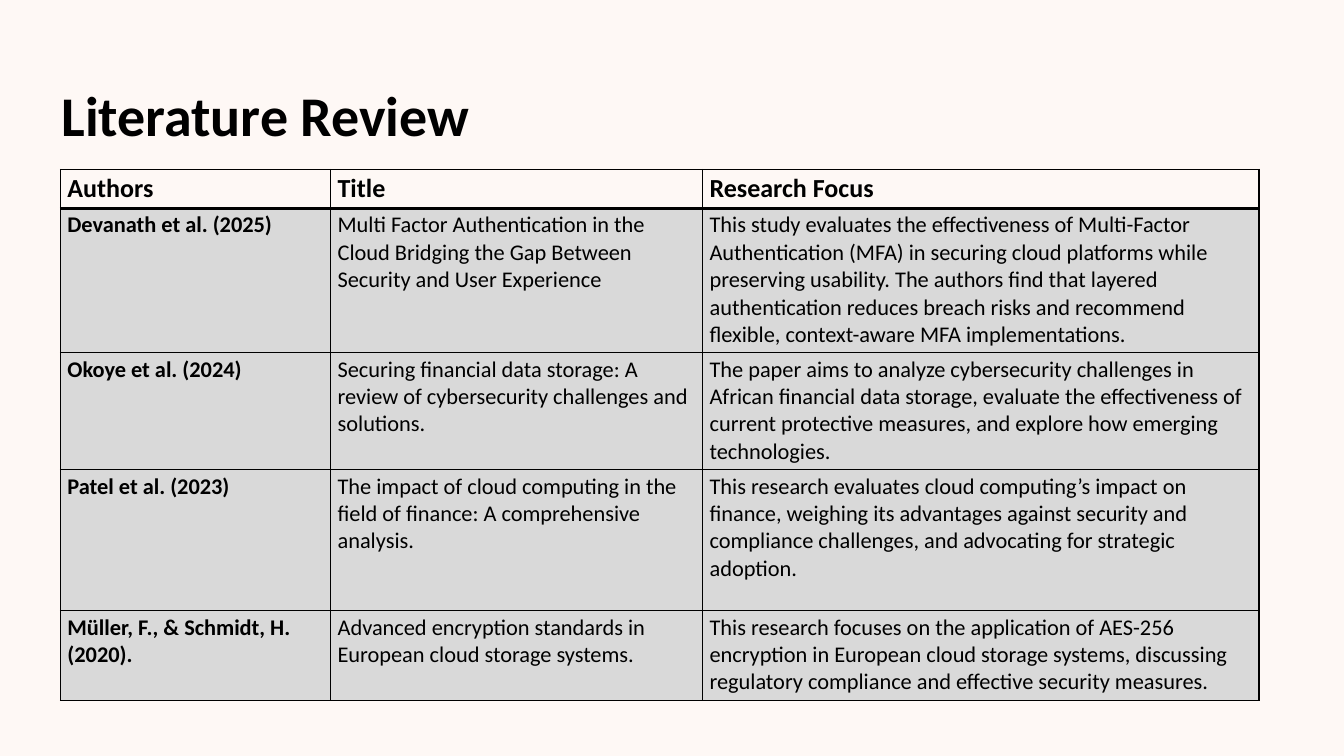
from dataclasses import dataclass

from lxml.etree import SubElement
from pptx import Presentation
from pptx.dml.color import RGBColor
from pptx.enum.text import MSO_AUTO_SIZE
from pptx.oxml.ns import qn
from pptx.util import Pt


@dataclass(frozen=True)
class Theme:
    font: str = "Calibri"
    background: str = "FEF8F5"
    ink: str = "000000"
    body_fill: str = "D9D9D9"
    title_size: float = 40
    header_size: float = 18.6
    body_size: float = 16
    border: float = 1
    header_rule: float = 2


class SlideBuilder:
    def __init__(self, presentation, theme):
        self.theme = theme
        self.slide = presentation.slides.add_slide(presentation.slide_layouts[6])
        fill = self.slide.background.fill
        fill.solid()
        fill.fore_color.rgb = RGBColor.from_string(theme.background)

    def add_run(self, paragraph, text, size, bold):
        run = paragraph.add_run()
        run.text = text
        run.font.name = self.theme.font
        run.font.size = Pt(size)
        run.font.bold = bold
        run.font.color.rgb = RGBColor.from_string(self.theme.ink)

    def add_title(self, text, left, top, width, height):
        shape = self.slide.shapes.add_textbox(Pt(left), Pt(top), Pt(width), Pt(height))
        frame = shape.text_frame
        frame.word_wrap = True
        frame.auto_size = MSO_AUTO_SIZE.SHAPE_TO_FIT_TEXT
        frame.margin_left = frame.margin_right = Pt(0)
        frame.margin_top = frame.margin_bottom = Pt(0)
        paragraph = frame.paragraphs[0]
        paragraph.line_spacing = Pt(72)
        self.add_run(paragraph, text, self.theme.title_size, True)

    def set_borders(self, cell, top, bottom):
        properties = cell._tc.get_or_add_tcPr()
        widths = {"L": self.theme.border, "R": self.theme.border, "T": top, "B": bottom}
        for side, width in widths.items():
            line = SubElement(properties, qn(f"a:ln{side}"), w=str(Pt(width)))
            solid = SubElement(line, qn("a:solidFill"))
            SubElement(solid, qn("a:srgbClr"), val=self.theme.ink)

    def fill_cell(self, cell, text, row, column):
        theme = self.theme
        is_header = row == 0
        cell.margin_left = cell.margin_right = Pt(5)
        cell.margin_top = cell.margin_bottom = Pt(2.2)
        self.set_borders(
            cell,
            top=theme.header_rule if row == 1 else theme.border,
            bottom=theme.header_rule if is_header else theme.border,
        )
        if is_header:
            cell.fill.background()
        else:
            cell.fill.solid()
            cell.fill.fore_color.rgb = RGBColor.from_string(theme.body_fill)
        size = theme.header_size if is_header else theme.body_size
        paragraph = cell.text_frame.paragraphs[0]
        self.add_run(paragraph, text, size, is_header or column == 0)

    def add_table(self, rows, left, top, widths, heights):
        shape = self.slide.shapes.add_table(
            len(rows), len(widths), Pt(left), Pt(top), Pt(sum(widths)), Pt(sum(heights))
        )
        table = shape.table
        table.horz_banding = False
        for column, width in zip(table.columns, widths):
            column.width = Pt(width)
        for table_row, height in zip(table.rows, heights):
            table_row.height = Pt(height)
        for row, texts in enumerate(rows):
            for column, text in enumerate(texts):
                self.fill_cell(table.cell(row, column), text, row, column)


REVIEW = [
    ("Authors", "Title", "Research Focus"),
    (
        "Devanath et al. (2025)",
        "Multi Factor Authentication in the Cloud Bridging the Gap Between "
        "Security and User Experience",
        "This study evaluates the effectiveness of Multi-Factor Authentication (MFA) "
        "in securing cloud platforms while preserving usability. The authors find that "
        "layered authentication reduces breach risks and recommend flexible, "
        "context-aware MFA implementations.",
    ),
    (
        "Okoye et al. (2024)",
        "Securing financial data storage: A review of cybersecurity challenges "
        "and solutions.",
        "The paper aims to analyze cybersecurity challenges in African financial data "
        "storage, evaluate the effectiveness of current protective measures, and "
        "explore how emerging technologies.",
    ),
    (
        "Patel et al. (2023)",
        "The impact of cloud computing in the field of finance: A comprehensive analysis.",
        "This research evaluates cloud computing’s impact on finance, weighing its "
        "advantages against security and compliance challenges, and advocating for "
        "strategic adoption.",
    ),
    (
        "Müller, F., & Schmidt, H. (2020).",
        "Advanced encryption standards in European cloud storage systems.",
        "This research focuses on the application of AES-256 encryption in European "
        "cloud storage systems, discussing regulatory compliance and effective "
        "security measures.",
    ),
]


def main():
    presentation = Presentation()
    presentation.slide_width, presentation.slide_height = Pt(960), Pt(540)
    builder = SlideBuilder(presentation, Theme())

    # Heading
    builder.add_title("Literature Review", 43.9, 33.8, 555.8, 72.7)

    # Reviewed papers
    builder.add_table(
        REVIEW,
        left=43.2,
        top=121,
        widths=[193, 265.7, 397.4],
        heights=[28, 103, 83.5, 100.8, 64],
    )
    presentation.save("out.pptx")


if __name__ == "__main__":
    main()
